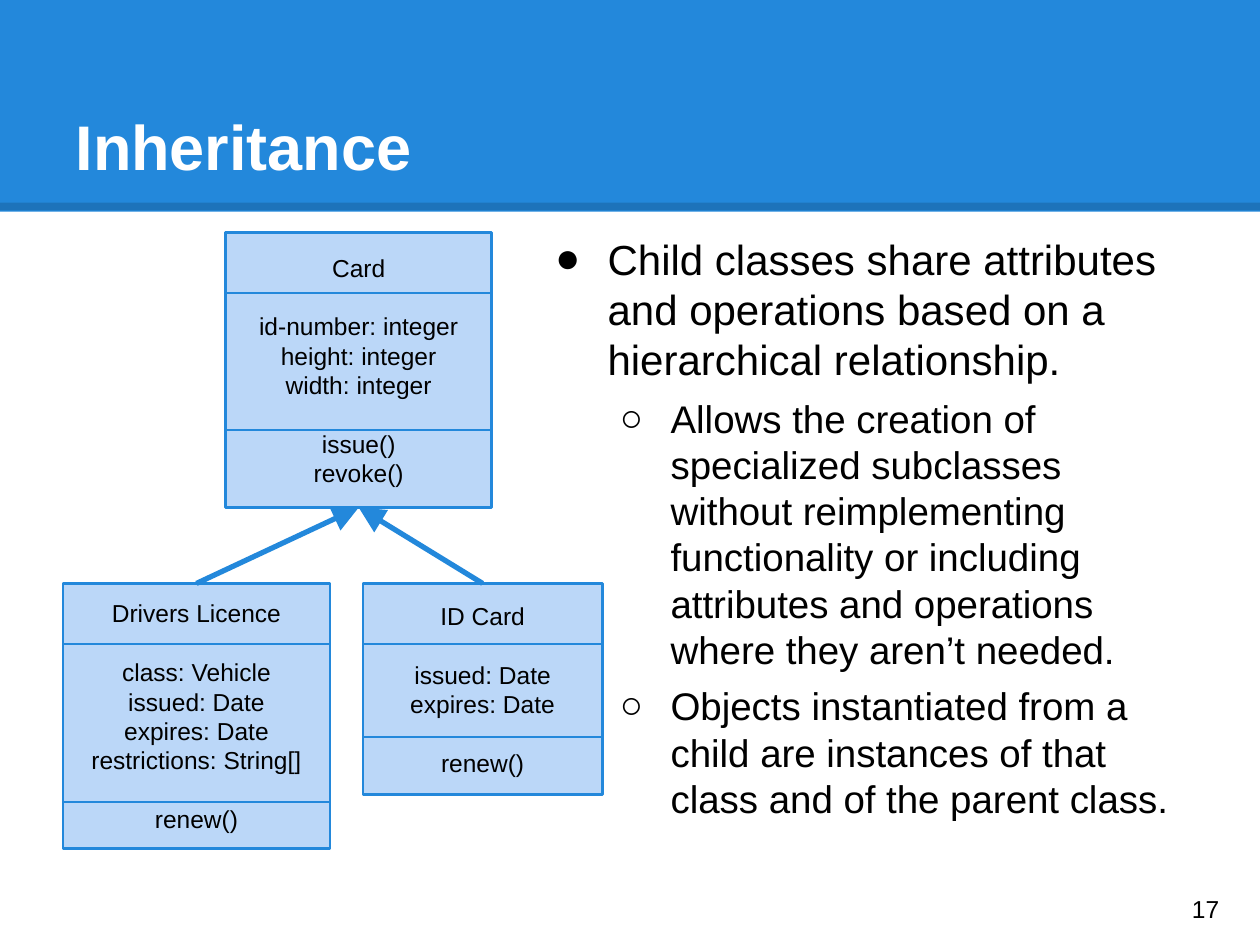
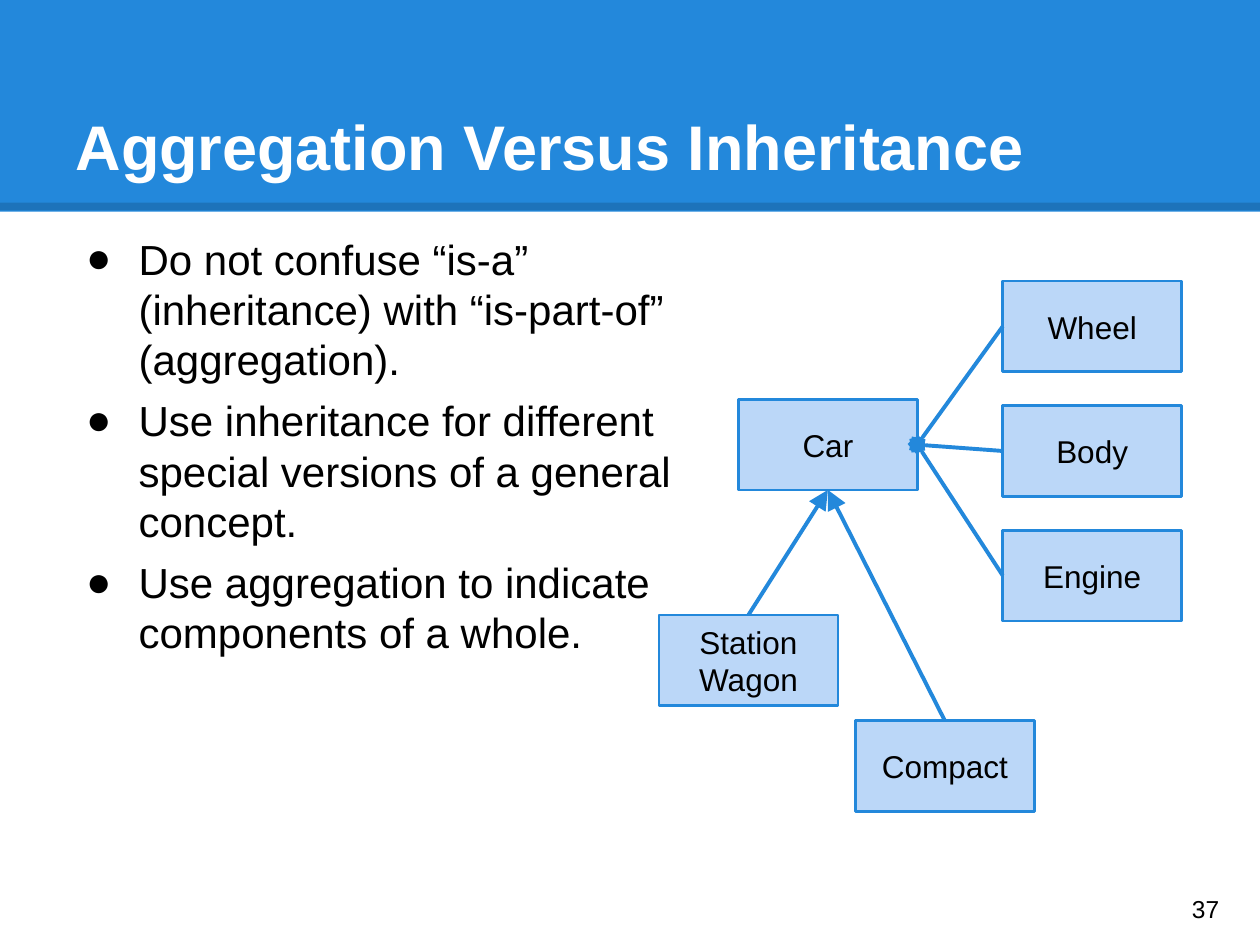
from dataclasses import dataclass

from lxml.etree import SubElement
from pptx import Presentation
from pptx.dml.color import RGBColor
from pptx.enum.shapes import MSO_CONNECTOR, MSO_SHAPE
from pptx.enum.text import MSO_ANCHOR, MSO_AUTO_SIZE, PP_ALIGN
from pptx.oxml.ns import qn
from pptx.util import Pt

TOP, LEFT, BOTTOM, RIGHT = range(4)


@dataclass(frozen=True)
class Theme:
    font: str = "Arial"
    blue: str = "2388DB"
    pale_blue: str = "BBD7F8"
    black: str = "000000"
    white: str = "FFFFFF"
    title_size: float = 36
    body_sizes: tuple = (24, 22)
    bullets: tuple = ("●", "○")
    text_indents: tuple = (36, 72)
    bullet_indents: tuple = (-30, -29)
    bullet_gap: float = 6
    label_size: float = 18
    small_size: float = 14
    small_line: float = 16.75
    inset: float = 7.2
    outline: float = 1.5


class SlideBuilder:
    def __init__(self, deck, theme):
        self.deck = deck
        self.theme = theme
        self.layout = deck.slide_layouts[1]
        self.page = None

    def start_page(self, title, number):
        self.page = self.deck.slides.add_slide(self.layout)
        if len(self.deck.slides) == 1:
            self.layout_band()
        heading = self.page.shapes.title
        self.place(heading, 36, 21.6, 648, 90)
        heading.text_frame.text = title
        self.format_text(heading.text_frame, self.theme.title_size, self.theme.white,
                         PP_ALIGN.LEFT, MSO_ANCHOR.BOTTOM, bold=True)
        number_box = self.page.shapes.add_textbox(Pt(674), Pt(499), Pt(43), Pt(41))
        number_box.text_frame.text = str(number)
        self.format_text(number_box.text_frame, self.theme.small_size, align=PP_ALIGN.LEFT)

    def layout_band(self):
        """Put the title band and its dark lower edge on the shared layout."""
        band = self.rectangle(0, 0, 720, 121, self.theme.blue)
        band.line.fill.background()
        edge = self.line((0, 118), (720, 118), 4.5, self.theme.black)
        color = edge._element.spPr.find(".//" + qn("a:srgbClr"))
        SubElement(color, qn("a:alpha"), val="15000")
        for position, shape in enumerate((band, edge), start=2):
            self.layout.shapes._spTree.insert(position, shape._element)

    def place(self, shape, left, top, width, height):
        shape.left, shape.top = Pt(left), Pt(top)
        shape.width, shape.height = Pt(width), Pt(height)

    def format_span(self, span, size, color, bold=False):
        span.font.name = self.theme.font
        span.font.size = Pt(size)
        span.font.bold = bold
        span.font.color.rgb = RGBColor.from_string(color)

    def format_frame(self, frame, anchor):
        frame.word_wrap = True
        frame.auto_size = MSO_AUTO_SIZE.NONE
        frame.vertical_anchor = anchor
        frame.margin_left = frame.margin_right = Pt(self.theme.inset)
        frame.margin_top = frame.margin_bottom = Pt(self.theme.inset)

    def format_text(self, frame, size, color=None, align=PP_ALIGN.CENTER,
                    anchor=MSO_ANCHOR.MIDDLE, bold=False):
        self.format_frame(frame, anchor)
        for para in frame.paragraphs:
            para.alignment = align
            for span in para.runs:
                self.format_span(span, size, color or self.theme.black, bold)

    def bullet_list(self, items, left, top, width, height):
        """Fill the body placeholder with (level, text) items."""
        theme = self.theme
        body = self.page.placeholders[1]
        self.place(body, left, top, width, height)
        frame = body.text_frame
        self.format_frame(frame, MSO_ANCHOR.TOP)
        frame.text = "\n".join(text for _, text in items)
        for index, (para, (level, _)) in enumerate(zip(frame.paragraphs, items)):
            para.level = level
            para.alignment = PP_ALIGN.LEFT
            para.space_before = Pt(theme.bullet_gap if index else 0)
            properties = para._p.get_or_add_pPr()
            properties.set("marL", str(Pt(theme.text_indents[level])))
            properties.set("indent", str(Pt(theme.bullet_indents[level])))
            bullet_color = SubElement(properties, qn("a:buClr"))
            SubElement(bullet_color, qn("a:srgbClr"), val=theme.black)
            SubElement(properties, qn("a:buFont"), typeface=theme.font)
            SubElement(properties, qn("a:buChar"), char=theme.bullets[level])
            for span in para.runs:
                self.format_span(span, theme.body_sizes[level], theme.black)

    def rectangle(self, left, top, width, height, fill):
        box = self.page.shapes.add_shape(
            MSO_SHAPE.RECTANGLE, Pt(left), Pt(top), Pt(width), Pt(height))
        box.shadow.inherit = False
        box.fill.solid()
        box.fill.fore_color.rgb = RGBColor.from_string(fill)
        box.line.color.rgb = RGBColor.from_string(self.theme.blue)
        box.line.width = Pt(self.theme.outline)
        return box

    def label_box(self, text, left, top, width=102.2, height=51.8):
        box = self.rectangle(left, top, width, height, self.theme.pale_blue)
        box.text_frame.text = text
        self.format_text(box.text_frame, self.theme.label_size)
        return box

    def class_box(self, sections, left, top, width, height, dividers):
        """Draw a class: name, attributes and operations, parted by dividers.

        Each section is (lines, whether an open line precedes it)."""
        box = self.rectangle(left, top, width, height, self.theme.pale_blue)
        frame = box.text_frame
        frame.text = "\n".join(line for section in sections for line in section)
        self.format_text(frame, self.theme.small_size)
        first_line = 0
        for section in sections[:-1]:
            first_line += len(section)
            frame.paragraphs[first_line].space_before = Pt(self.theme.small_line)
        for height_on_page in dividers:
            self.line((left, height_on_page), (left + width, height_on_page),
                      self.theme.outline)
        return box

    def line(self, start, end, width, color=None):
        connector = self.page.shapes.add_connector(
            MSO_CONNECTOR.STRAIGHT, *(Pt(value) for value in (*start, *end)))
        connector.line.width = Pt(width)
        connector.line.color.rgb = RGBColor.from_string(color or self.theme.blue)
        SubElement(connector._element.spPr, qn("a:effectLst"))
        return connector

    def join(self, source, source_side, target, target_side, width, tip):
        connector = self.line((0, 0), (0, 0), width)
        connector.begin_connect(source, source_side)
        connector.end_connect(target, target_side)
        outline = connector._element.spPr.find(qn("a:ln"))
        SubElement(outline, qn("a:tailEnd"), type=tip, w="lg", len="lg")


def inheritance_page(builder):
    builder.start_page("Inheritance", 17)
    builder.bullet_list([
        (0, "Child classes share attributes and operations based on a "
            "hierarchical relationship."),
        (1, "Allows the creation of specialized subclasses without reimplementing "
            "functionality or including attributes and operations where they "
            "aren’t needed."),
        (1, "Objects instantiated from a child are instances of that class and "
            "of the parent class."),
    ], 304, 126, 380, 391)
    card = builder.class_box([
        ["Card"],
        ["id-number: integer", "height: integer", "width: integer"],
        ["issue()", "revoke()"],
    ], 129, 133, 152, 157, (167.5, 245.7))
    children_top, name_bottom = 333.4, 368
    licence = builder.class_box([
        ["Drivers Licence"],
        ["class: Vehicle", "issued: Date", "expires: Date", "restrictions: String[]"],
        ["renew()"],
    ], 36, children_top, 152.6, 151.4, (name_bottom, 458.4))
    id_card = builder.class_box([
        ["ID Card"],
        ["issued: Date", "expires: Date"],
        ["renew()"],
    ], 207.4, children_top, 136.8, 120.8, (name_bottom, 421.2))
    for child in (licence, id_card):
        builder.join(child, TOP, card, BOTTOM, 3, "triangle")


def aggregation_page(builder):
    builder.start_page("Aggregation Versus Inheritance", 37)
    builder.bullet_list([
        (0, "Do not confuse “is-a” (inheritance) with “is-part-of” (aggregation)."),
        (0, "Use inheritance for different special versions of a general concept."),
        (0, "Use aggregation to indicate components of a whole."),
    ], 36, 126, 374.4, 70)
    car = builder.label_box("Car", 422, 228.2)
    for row, part in enumerate(("Wheel", "Body", "Engine")):
        part_box = builder.label_box(part, 573, 160.6 + row * 71.2)
        builder.join(part_box, LEFT, car, RIGHT, 2.25, "diamond")
    for kind, left, top in (("Station Wagon", 376.6, 351.4), ("Compact", 488.8, 411.8)):
        kind_box = builder.label_box(kind, left, top)
        builder.join(kind_box, TOP, car, BOTTOM, 2.25, "triangle")


def main():
    deck = Presentation()
    deck.slide_width, deck.slide_height = Pt(720), Pt(540)
    builder = SlideBuilder(deck, Theme())
    inheritance_page(builder)
    aggregation_page(builder)
    deck.save("out.pptx")


if __name__ == "__main__":
    main()
